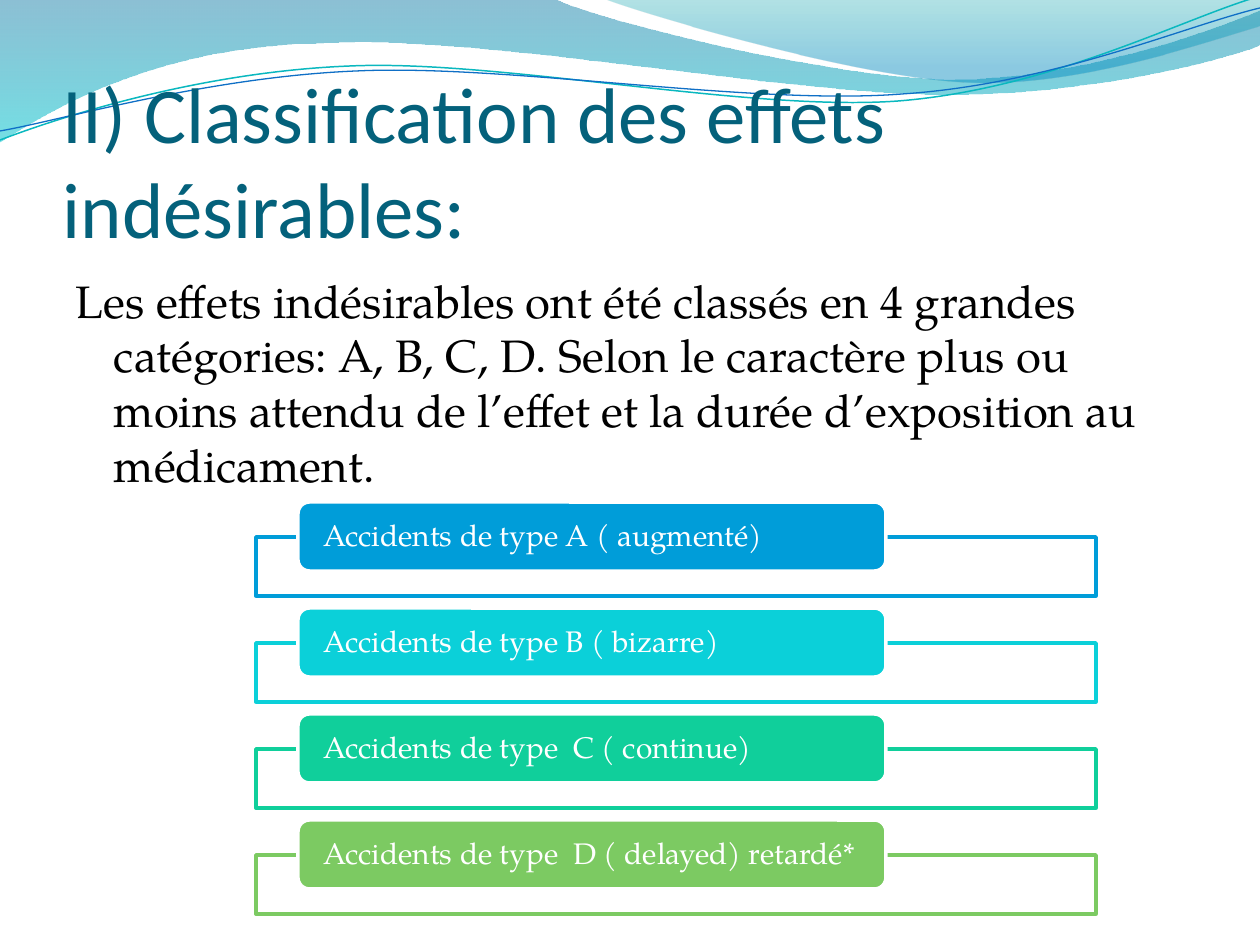
from lxml import etree
from pptx import Presentation
from pptx.dml.color import RGBColor
from pptx.enum.shapes import MSO_SHAPE
from pptx.enum.text import MSO_ANCHOR, PP_ALIGN
from pptx.oxml.ns import qn
from pptx.util import Emu, Pt

RECT, ROUND = MSO_SHAPE.RECTANGLE, MSO_SHAPE.ROUNDED_RECTANGLE
TOP, MIDDLE, BOTTOM = MSO_ANCHOR.TOP, MSO_ANCHOR.MIDDLE, MSO_ANCHOR.BOTTOM
LEFT = PP_ALIGN.LEFT
SCALE = 914400 / 126
SERIF = "TeX Gyre Pagella"

WAVES = [
    ([(0, 0), (554, -1), (600, 21, 837, 79, 955, 79), (1074, 79, 1207, 33, 1260, 11),
      (1261, 45), (1239, 55, 1096, 96, 940, 94), (784, 94, 481, 35, 324, 43),
      (163, 45, 58, 105, -1, 142)],
     [(0, "0074A1", 45), (1, "00C6CF", 55)]),
    ([(604, -1), (641, 14, 859, 78, 969, 82), (1079, 87, 1211, 40, 1260, 26), (1260, 0)],
     [(0, "00A1A9", 30), (0.8, "008BBF", 45)]),
]
STRANDS = [
    ([(0, 140), (60, 117, 199, 72, 349, 66), (498, 59, 747, 112, 898, 101),
      (1050, 89, 1182, 19, 1257, -3)], "0AB8BF", 0.85),
    ([(0, 131), (59, 121, 207, 77, 357, 71), (508, 64, 752, 106, 903, 94),
      (1053, 84, 1185, 26, 1260, 8)], "0F6FC6", 0.75),
]
TYPES = [
    ("Accidents de type A ( augmenté)", "009DD9"),
    ("Accidents de type B ( bizarre)", "0BD0D9"),
    ("Accidents de type  C ( continue)", "10CF9B"),
    ("Accidents de type  D ( delayed) retardé*", "7CCA62"),
]


def px(n):
    """Turn pixels into EMU."""
    return Emu(round(n * SCALE))


def rgb(value):
    """Turn a hex string into a colour."""
    return RGBColor.from_string(value)


def set_alphas(sp, percents):
    """Set the opacity of the fill colours of a shape, in order."""
    for clr, percent in zip(sp.element.spPr.iter(qn("a:srgbClr")), percents):
        etree.SubElement(clr, qn("a:alpha"), val=str(percent * 1000))


def add_outline(s, outline, close):
    """Draw a freeform whose six-number parts are cubic curves."""
    anchors = [(px(part[-2]), px(part[-1])) for part in outline]
    builder = s.shapes.build_freeform(*anchors[0], scale=1.0)
    builder.add_line_segments(anchors[1:], close=close)
    sp = builder.convert_to_shape()
    sp.shadow.inherit = False
    segments = list(sp.element.spPr.iter(qn("a:lnTo")))
    for segment, part in zip(segments, outline[1:]):
        if len(part) == 6:
            segment.tag = qn("a:cubicBezTo")
            for i in (2, 0):
                pt = etree.Element(qn("a:pt"), x=str(px(part[i]) - sp.left),
                                   y=str(px(part[i + 1]) - sp.top))
                segment.insert(0, pt)
    return sp


def add_header(s):
    """Draw the waves and strands along the top edge."""
    for outline, stops in WAVES:
        sp = add_outline(s, outline, True)
        sp.line.fill.background()
        sp.fill.gradient()
        sp.fill.gradient_angle = 270
        for stop, (position, color, _) in zip(sp.fill.gradient_stops, stops):
            stop.position = position
            stop.color.rgb = rgb(color)
        set_alphas(sp, [alpha for _, _, alpha in stops])
    for outline, color, width in STRANDS:
        sp = add_outline(s, outline, False)
        sp.fill.background()
        sp.line.color.rgb = rgb(color)
        sp.line.width = Pt(width)


def write(sp, text, size, font, color, anchor, insets):
    """Put one styled paragraph into a shape and return it."""
    tf = sp.text_frame
    tf.word_wrap = True
    tf.vertical_anchor = anchor
    tf.margin_left, tf.margin_top, tf.margin_right, tf.margin_bottom = map(px, insets)
    p = tf.paragraphs[0]
    p.text = text
    p.alignment = LEFT
    p.font.size = Pt(size)
    p.font.name = font
    p.font.color.rgb = rgb(color)
    return p


def add_text(s, box, *style):
    """Add a text box and return its paragraph."""
    return write(s.shapes.add_textbox(*map(px, box)), *style)


def add_block(s, kind, box, fill, line):
    """Add a filled shape with a 2 pt outline."""
    sp = s.shapes.add_shape(kind, *map(px, box))
    sp.shadow.inherit = False
    sp.fill.solid()
    sp.fill.fore_color.rgb = rgb(fill)
    sp.line.color.rgb = rgb(line)
    sp.line.width = Pt(2)
    return sp


def add_type_list(s, x, y, w, pitch):
    """Draw a frame with an overlapping label for each accident type."""
    for i, (text, color) in enumerate(TYPES):
        top = y + i * pitch
        frame = add_block(s, RECT, (x, top + 35, w, 59), "FFFFFF", color)
        set_alphas(frame, [90])
        label = add_block(s, ROUND, (x + 42, top, w * 7 // 10, 69), color, "FFFFFF")
        p = write(label, text, 17, SERIF, "FFFFFF", MIDDLE, (22, 0, 10, 0))
        p.line_spacing = 0.9


def main():
    """Build the slide and save it."""
    prs = Presentation()
    prs.slide_width, prs.slide_height = px(1260), px(945)
    s = prs.slides.add_slide(prs.slide_layouts[6])
    add_header(s)
    add_text(s, (63, 97, 1134, 157), "II) Classification des effets indésirables:",
             45, "Calibri", "04617B", BOTTOM, (0, 6, 0, 0))
    p = add_text(s, (63, 267, 1134, 605),
                 "Les effets indésirables ont été classés en 4 grandes catégories: A, B, C, D. "
                 "Selon le caractère plus ou moins attendu de l’effet et la durée d’exposition "
                 "au médicament.", 26, SERIF, "000000", TOP, (13, 6, 13, 6))
    p.space_before = Pt(5)
    indent = px(38)
    pPr = p._p.get_or_add_pPr()
    pPr.set("marL", str(indent))
    pPr.set("indent", str(-indent))
    add_type_list(s, 256, 502, 840, 106)
    prs.save("out.pptx")


if __name__ == "__main__":
    main()
